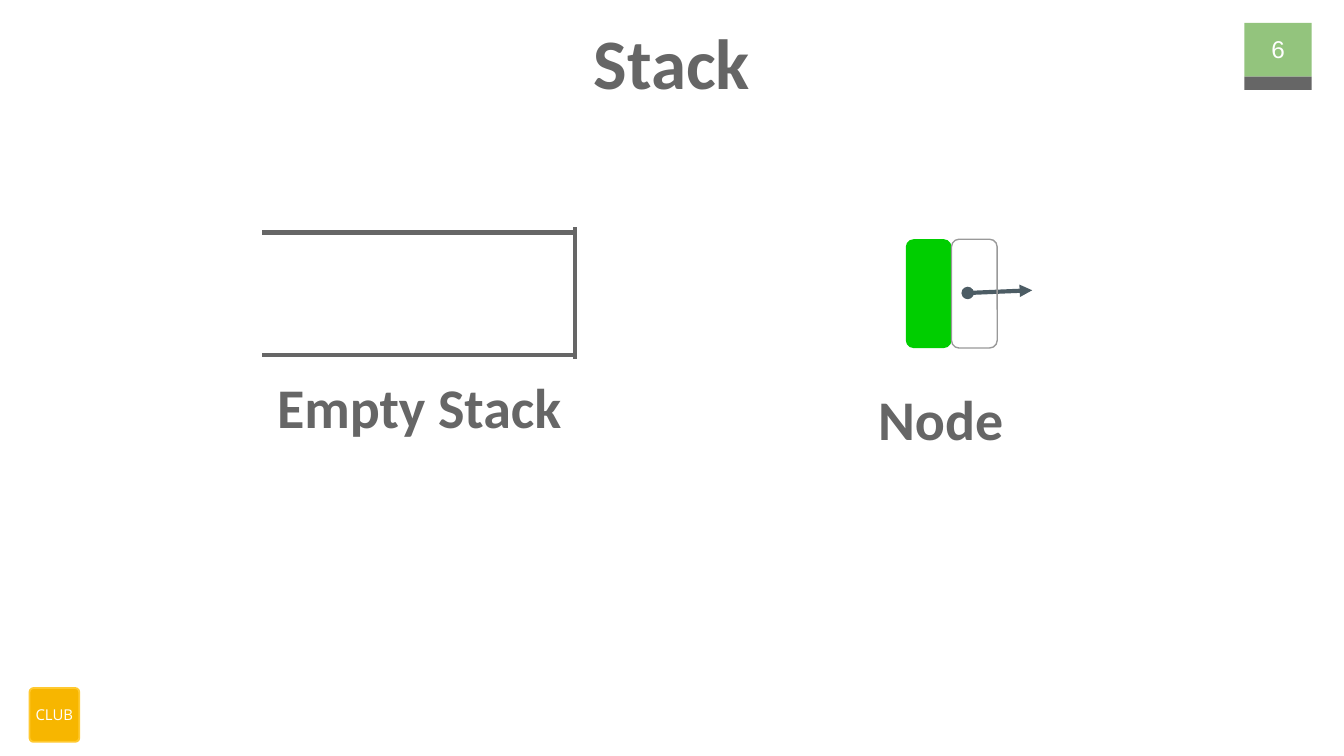
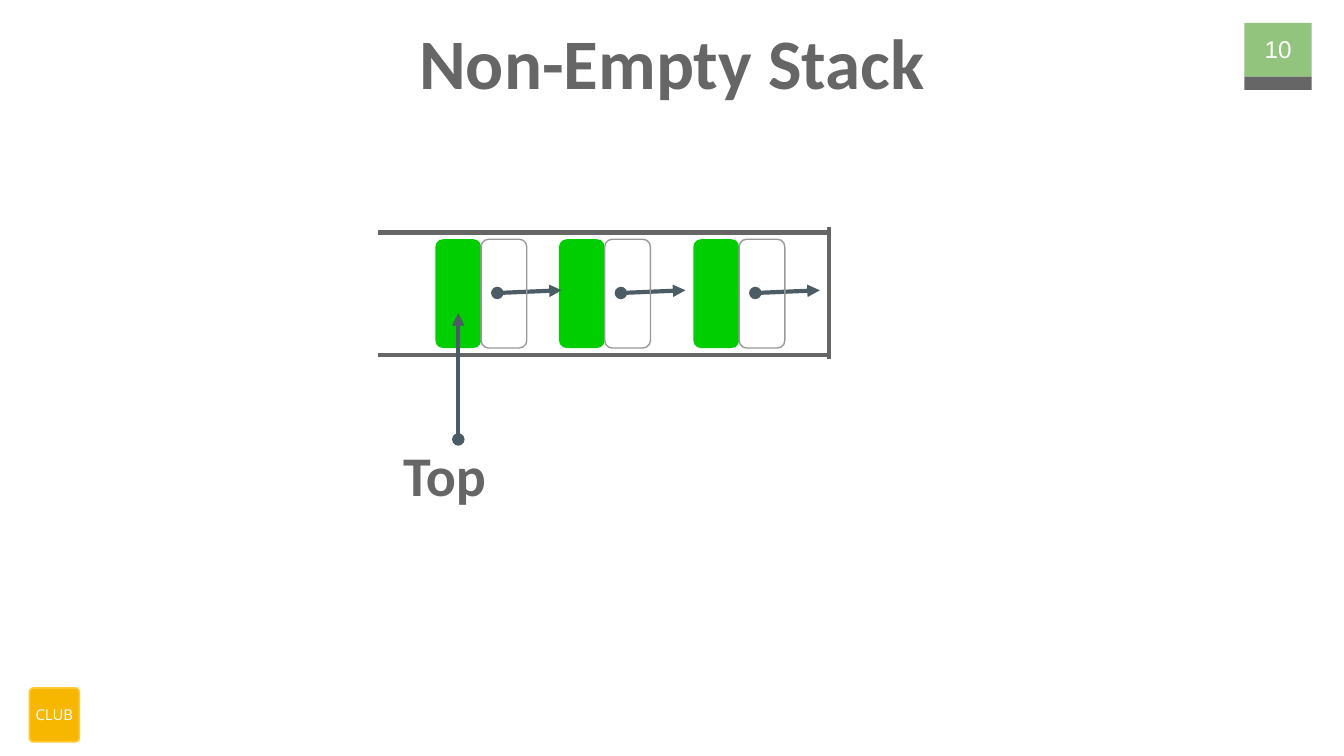
from lxml.etree import SubElement
from pptx import Presentation
from pptx.dml.color import RGBColor
from pptx.enum.shapes import MSO_CONNECTOR, MSO_SHAPE
from pptx.enum.text import MSO_ANCHOR, PP_ALIGN
from pptx.oxml.ns import qn
from pptx.util import Inches, Pt

COLORS = {
    "grey": "666666", "page": "93C47D", "white": "FFFFFF",
    "data": "00CE00", "link_border": "999999", "arrow": "4C5C64",
    "badge": "F7B600", "badge_border": "FFC92F",
}

# Stacks are (left, right); nodes are left edges, drawn in the order listed;
# captions are (text, left, top, width); pointers are (start, end).
SLIDES = [
    {
        "title": "Stack", "number": "6",
        "stack": (1.95, 4.27),
        "nodes": [6.74],
        "pointers": [],
        "captions": [("Empty Stack", 1.67, 2.84, 2.9), ("Node", 5.55, 2.93, 2.9)],
    },
    {
        "title": "Non-Empty Stack", "number": "10",
        "stack": (2.81, 6.16),
        "nodes": [5.16, 4.16, 3.24],
        "pointers": [((3.41, 3.27), (3.41, 2.33))],
        "captions": [("Top ", 2.79, 3.34, 1.13)],
    },
]

SLIDE_WIDTH = Inches(10)
SLIDE_HEIGHT = SLIDE_WIDTH * 9 // 16
RAIL_TOP, RAIL_BOTTOM = 1.73, 2.64
CELL_TOP, CELL_WIDTH, CELL_HEIGHT = 1.78, 0.34, 0.81
CAPTION_HEIGHT = 0.37


def color(name):
    """Look up a palette colour."""
    return RGBColor.from_string(COLORS[name])


def add_box(slide, kind, area, fill=None, border=None, width=0.75):
    """Add a preset shape with an optional fill and border."""
    box = slide.shapes.add_shape(kind, *map(Inches, area))
    box.shadow.inherit = False
    if fill:
        box.fill.solid()
        box.fill.fore_color.rgb = color(fill)
    else:
        box.fill.background()
    if border:
        box.line.color.rgb = color(border)
        box.line.width = Pt(width)
    else:
        box.line.fill.background()
    return box


def write(shape, text, size, font, ink, bold=False, inset=0.1,
          anchor=MSO_ANCHOR.MIDDLE):
    """Put one centred line of text in a shape."""
    frame = shape.text_frame
    frame.word_wrap = True
    frame.vertical_anchor = anchor
    frame.margin_left = frame.margin_right = Inches(inset)
    frame.margin_top = frame.margin_bottom = Inches(inset)
    paragraph = frame.paragraphs[0]
    paragraph.text = text
    paragraph.alignment = PP_ALIGN.CENTER
    paragraph.font.size = Pt(size)
    paragraph.font.name = font
    paragraph.font.bold = bold
    paragraph.font.color.rgb = color(ink)


def add_label(slide, area, *args, **options):
    """Add a text box holding one centred line."""
    write(slide.shapes.add_textbox(*map(Inches, area)), *args, **options)


def add_line(slide, start, end, ink="grey", pointer=False):
    """Add a straight line; a pointer starts with a dot and ends in an arrow."""
    line = slide.shapes.add_connector(
        MSO_CONNECTOR.STRAIGHT, *map(Inches, (*start, *end)))
    line.line.color.rgb = color(ink)
    line.line.width = Pt(2.25)
    if pointer:
        stroke = line.line._get_or_add_ln()
        SubElement(stroke, qn("a:headEnd"), type="oval")
        SubElement(stroke, qn("a:tailEnd"), type="triangle")
    SubElement(line._element.spPr, qn("a:effectLst"))


def add_frame(slide, title, number):
    """Add the page marker, badge and title that every slide shares."""
    add_box(slide, MSO_SHAPE.RECTANGLE, (9.26, 0.17, 0.5, 0.4), "page")
    add_box(slide, MSO_SHAPE.RECTANGLE, (9.26, 0.57, 0.5, 0.1), "grey")
    badge = add_box(slide, MSO_SHAPE.ROUNDED_RECTANGLE, (0.22, 5.12, 0.37, 0.4),
                    "badge", "badge_border", 1)
    badge.adjustments[0] = 0.08
    write(badge, "CLUB", 8, "Open Sans", "white", inset=0)
    add_label(slide, (0.34, 0.04, 9.32, 0.63), title, 38, "Calibri", "grey",
              bold=True, anchor=MSO_ANCHOR.TOP)
    add_label(slide, (9.21, 0.15, 0.6, 0.43), number, 13, "Arial", "white")


def add_stack(slide, left, right):
    """Draw a stack that is open on its left side."""
    for y in (RAIL_BOTTOM, RAIL_TOP):
        add_line(slide, (right, y), (left, y))
    wall = right + 0.01
    add_line(slide, (wall, RAIL_BOTTOM + 0.03), (wall, RAIL_TOP - 0.04))


def add_node(slide, left):
    """Draw a node: its link arrow, data cell and link cell."""
    add_line(slide, (left + 0.46, 2.18), (left + 0.94, 2.16), "arrow", pointer=True)
    cells = [("data", None), (None, "link_border")]
    for index, (fill, border) in enumerate(cells):
        area = (left + index * CELL_WIDTH, CELL_TOP, CELL_WIDTH, CELL_HEIGHT)
        add_box(slide, MSO_SHAPE.ROUNDED_RECTANGLE, area, fill, border)


deck = Presentation()
deck.slide_width, deck.slide_height = SLIDE_WIDTH, SLIDE_HEIGHT
for content in SLIDES:
    slide = deck.slides.add_slide(deck.slide_layouts[6])
    add_frame(slide, content["title"], content["number"])
    add_stack(slide, *content["stack"])
    for left in content["nodes"]:
        add_node(slide, left)
    for start, end in content["pointers"]:
        add_line(slide, start, end, "arrow", pointer=True)
    for text, left, top, width in content["captions"]:
        add_label(slide, (left, top, width, CAPTION_HEIGHT), text, 30, "Calibri",
                  "grey", bold=True)
deck.save("out.pptx")
